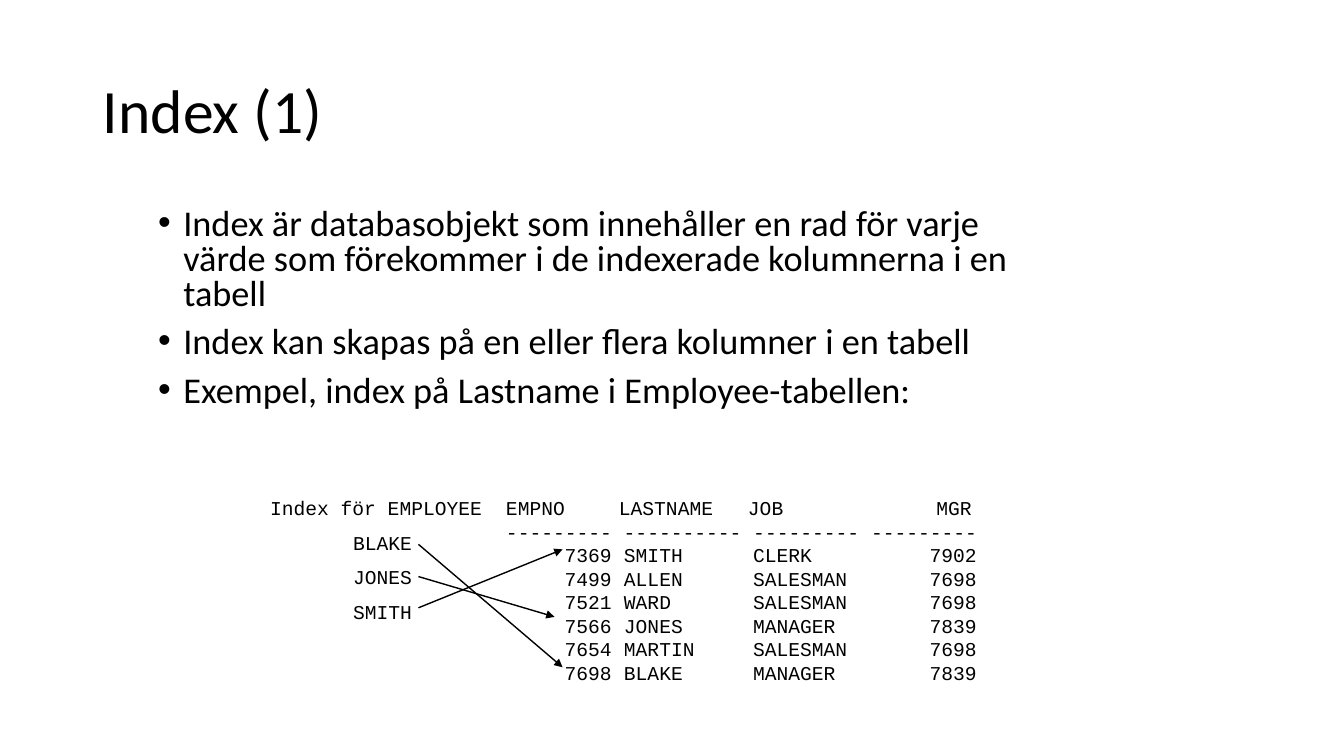
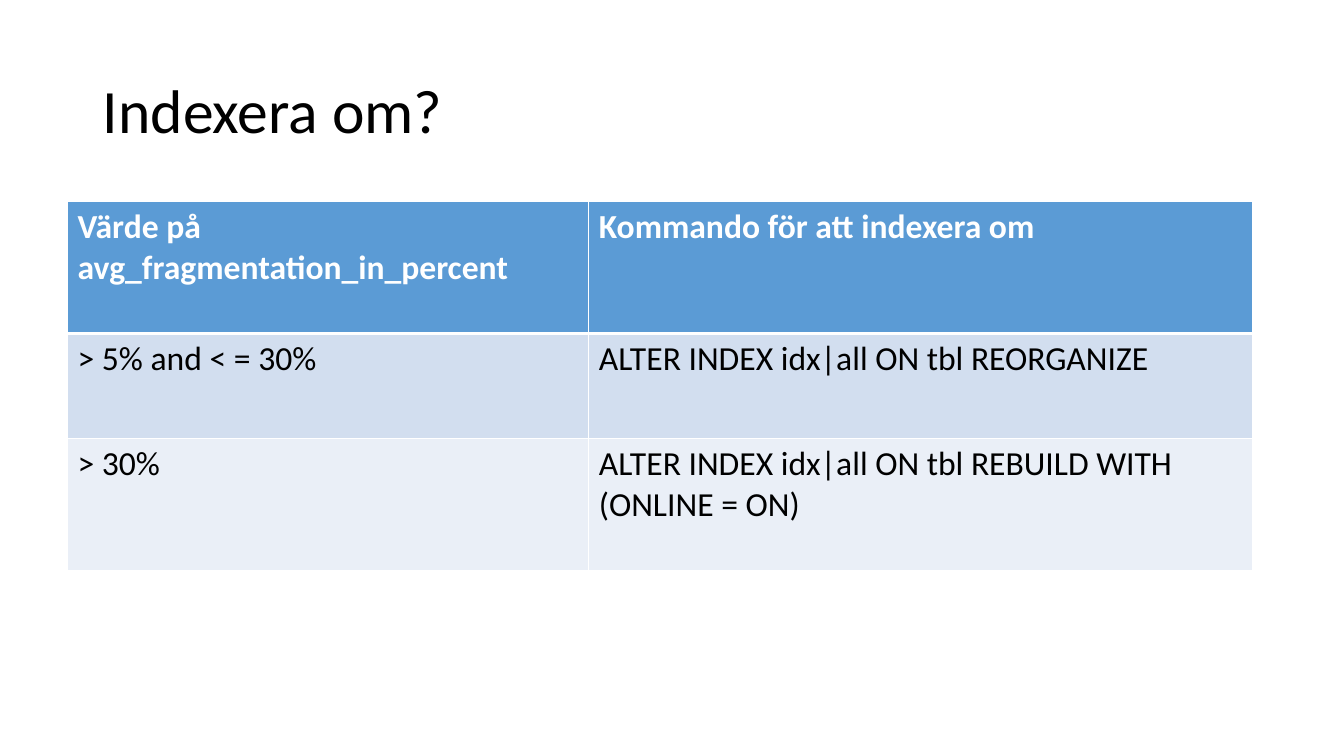
import pptx
import pptx.dml.color
import pptx.enum.shapes
import pptx.enum.text
import pptx.oxml
import pptx.oxml.ns
import pptx.oxml.xmlchemy
import pptx.util
from lxml import etree

Inches = pptx.util.Inches
Pt = pptx.util.Pt
Align = pptx.enum.text.PP_ALIGN

COLOURS = {
    "text": "000000",
    "paper": "FFFFFF",
    "header": "5B9BD5",
    "band_dark": "D2DEEF",
    "band_light": "EAEFF7",
}
SANS, MONO = "Calibri", "Courier New"

EMPLOYEES = [
    ("7369", "SMITH", "CLERK", "7902"),
    ("7499", "ALLEN", "SALESMAN", "7698"),
    ("7521", "WARD", "SALESMAN", "7698"),
    ("7566", "JONES", "MANAGER", "7839"),
    ("7654", "MARTIN", "SALESMAN", "7698"),
    ("7698", "BLAKE", "MANAGER", "7839"),
]
HEADER_STOPS = [(1.12, "l"), (2.4, "l"), (4.62, "r")]
EMPLOYEE_STOPS = [(1.05, "r"), (1.17, "l"), (2.45, "l"), (4.67, "r")]


def colour(name):
    return pptx.dml.color.RGBColor.from_string(COLOURS[name])


def add_element(parent, tag, **attributes):
    element = etree.SubElement(parent, pptx.oxml.ns.qn(tag))
    for key, value in attributes.items():
        element.set(key, str(value))
    return element


class Deck:
    def __init__(self):
        self.deck = pptx.Presentation()
        self.deck.slide_width = Inches(13.33)
        self.deck.slide_height = Inches(7.5)
        self.page = None

    def style(self, paragraph, size, font=SANS, ink="text", bold=False):
        paragraph.font.name = font
        paragraph.font.size = Pt(size)
        paragraph.font.bold = bold
        paragraph.font.color.rgb = colour(ink)

    def add_page(self, title):
        self.page = self.deck.slides.add_slide(self.deck.slide_layouts[5])
        box = self.page.shapes.title
        box.left, box.top = Inches(0.92), Inches(0.4)
        box.width, box.height = Inches(11.5), Inches(1.45)
        frame = box.text_frame
        frame.text = title
        frame.auto_size = pptx.enum.text.MSO_AUTO_SIZE.NONE
        frame.vertical_anchor = pptx.enum.text.MSO_ANCHOR.MIDDLE
        paragraph = frame.paragraphs[0]
        paragraph.alignment = Align.LEFT
        paragraph.line_spacing = 0.9
        self.style(paragraph, 44)

    def add_text(self, left, top, width, height, lines, gap=0):
        """Add a text box and return its paragraphs, still without a font."""
        box = self.page.shapes.add_textbox(
            Inches(left), Inches(top), Inches(width), Inches(height))
        frame = box.text_frame
        frame.word_wrap = True
        frame.text = "\n".join(lines)
        for paragraph in frame.paragraphs[1:]:
            paragraph.space_before = Pt(gap)
        return frame.paragraphs

    def add_bullets(self, left, top, width, height, lines):
        for paragraph in self.add_text(left, top, width, height, lines, gap=10):
            paragraph.line_spacing = 0.8
            properties = paragraph._p.get_or_add_pPr()
            properties.set("marL", str(Inches(0.25)))
            properties.set("indent", str(-Inches(0.25)))
            add_element(properties, "a:buFont", typeface="Arial")
            add_element(properties, "a:buChar", char="•")
            self.style(paragraph, 25.9)

    def add_index(self, left, top, width, height, heading, keys):
        paragraphs = self.add_text(left, top, width, height, [heading, *keys], gap=8)
        for paragraph in paragraphs:
            self.style(paragraph, 14, MONO)
        for paragraph in paragraphs[1:]:
            paragraph.alignment = Align.CENTER

    def add_listing(self, left, top, width, height, rows):
        """Add monospaced lines; each row is a pair of text and tab stops."""
        paragraphs = self.add_text(left, top, width, height, [text for text, _ in rows])
        for paragraph, (_, stops) in zip(paragraphs, rows):
            if stops:
                tabs = add_element(paragraph._p.get_or_add_pPr(), "a:tabLst")
                for position, side in stops:
                    add_element(tabs, "a:tab", pos=Inches(position), algn=side)
            self.style(paragraph, 14, MONO)

    def add_arrow(self, start, end):
        arrow = self.page.shapes.add_connector(
            pptx.enum.shapes.MSO_CONNECTOR.STRAIGHT,
            *(Inches(length) for length in (*start, *end)))
        arrow.line.color.rgb = colour("text")
        arrow.line.width = Pt(1)
        add_element(arrow.line._get_or_add_ln(), "a:tailEnd", type="triangle")
        add_element(arrow._element.spPr, "a:effectLst")

    def add_borders(self, cell, top, bottom):
        properties = cell._tc.get_or_add_tcPr()
        widths = {"a:lnL": 1, "a:lnR": 1, "a:lnT": top, "a:lnB": bottom}
        for place, (tag, width) in enumerate(widths.items()):
            line = add_element(properties, tag, w=Pt(width))
            fill = add_element(line, "a:solidFill")
            add_element(fill, "a:srgbClr", val=COLOURS["paper"])
            properties.insert(place, line)

    def add_table(self, left, top, widths, heights, rows):
        table = self.page.shapes.add_table(
            len(rows), len(widths), Inches(left), Inches(top),
            Inches(sum(widths)), Inches(sum(heights))).table
        for column, width in zip(table.columns, widths):
            column.width = Inches(width)
        fills = ["header", "band_dark", "band_light"]
        for number, (texts, height) in enumerate(zip(rows, heights)):
            table.rows[number].height = Inches(height)
            is_header = number == 0
            for cell, text in zip(table.rows[number].cells, texts):
                cell.text = text
                cell.fill.solid()
                cell.fill.fore_color.rgb = colour(fills[number])
                self.add_borders(cell, top=3 if number == 1 else 1,
                                 bottom=3 if is_header else 1)
                self.style(cell.text_frame.paragraphs[0], 24,
                           ink="paper" if is_header else "text", bold=is_header)


def build_index_page(deck):
    deck.add_page("Index (1)")
    deck.add_bullets(1.47, 2.02, 8.9, 2.17, [
        "Index är databasobjekt som innehåller en rad för varje värde "
        "som förekommer i de indexerade kolumnerna i en tabell",
        "Index kan skapas på en eller flera kolumner i en tabell",
        "Exempel, index på Lastname i Employee-tabellen:",
    ])
    deck.add_index(2.58, 4.87, 2.43, 1.4, "Index för EMPLOYEE",
                   ["BLAKE", "JONES", "SMITH"])
    rows = [
        ("EMPNO\tLASTNAME\tJOB\tMGR", HEADER_STOPS),
        (" ".join("-" * length for length in (9, 10, 9, 9)), []),
    ]
    rows += [("\t" + "\t".join(employee), EMPLOYEE_STOPS) for employee in EMPLOYEES]
    deck.add_listing(4.92, 4.87, 5.58, 1.99, rows)
    for start_y, end in [(6.03, (5.58, 5.45)), (5.72, (5.5, 6.12)), (5.4, (5.58, 6.62))]:
        deck.add_arrow((4.15, start_y), end)


def build_reindex_page(deck):
    deck.add_page("Indexera om?")
    deck.add_table(0.67, 2, [5.17, 6.58], [1.31, 1.04, 1.31], [
        ("Värde på avg_fragmentation_in_percent", "Kommando för att indexera om"),
        ("> 5% and < = 30%", "ALTER INDEX idx|all ON tbl REORGANIZE"),
        ("> 30%", "ALTER INDEX idx|all ON tbl REBUILD WITH (ONLINE = ON)"),
    ])


def main():
    deck = Deck()
    build_index_page(deck)
    build_reindex_page(deck)
    deck.deck.save("out.pptx")


if __name__ == "__main__":
    main()
